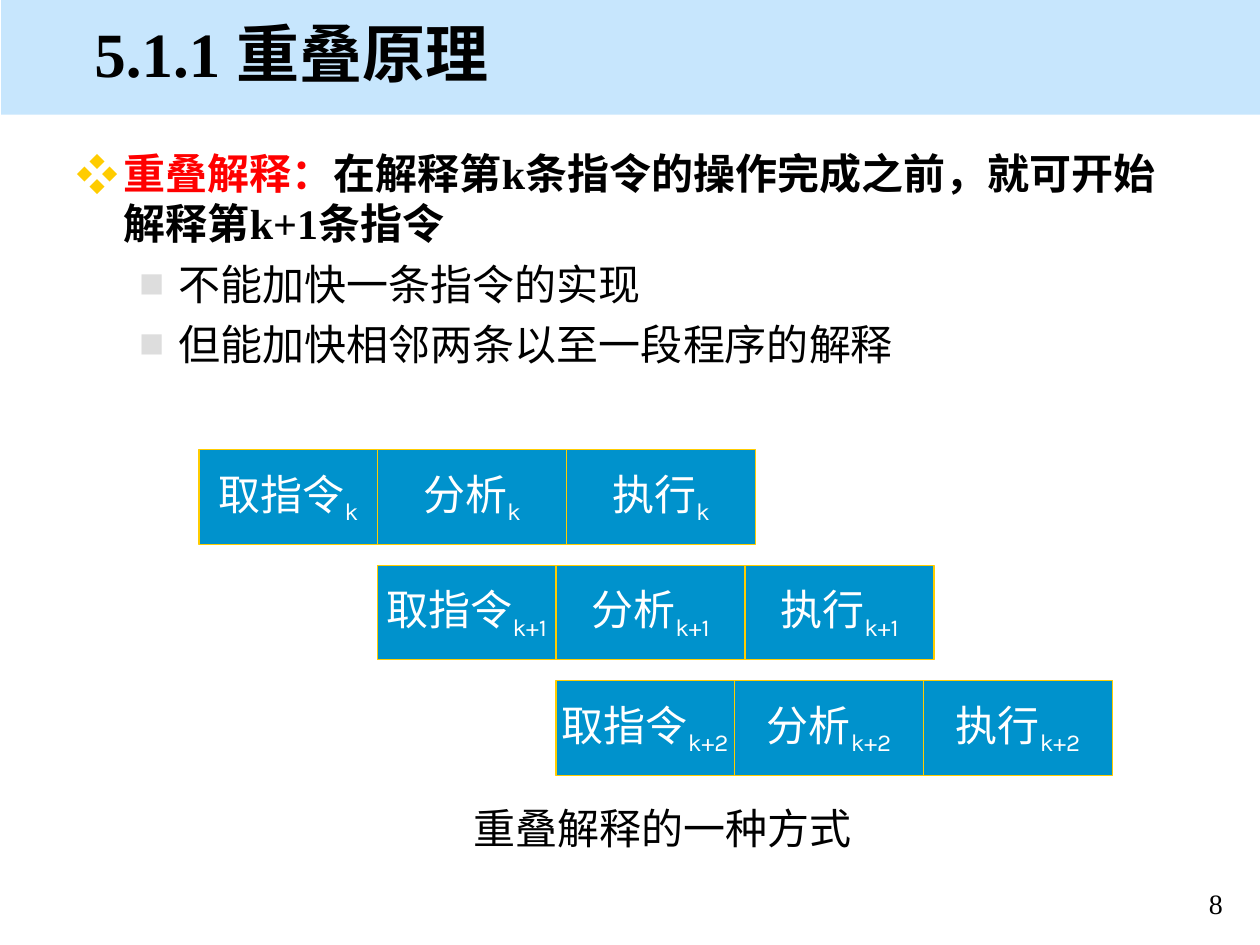
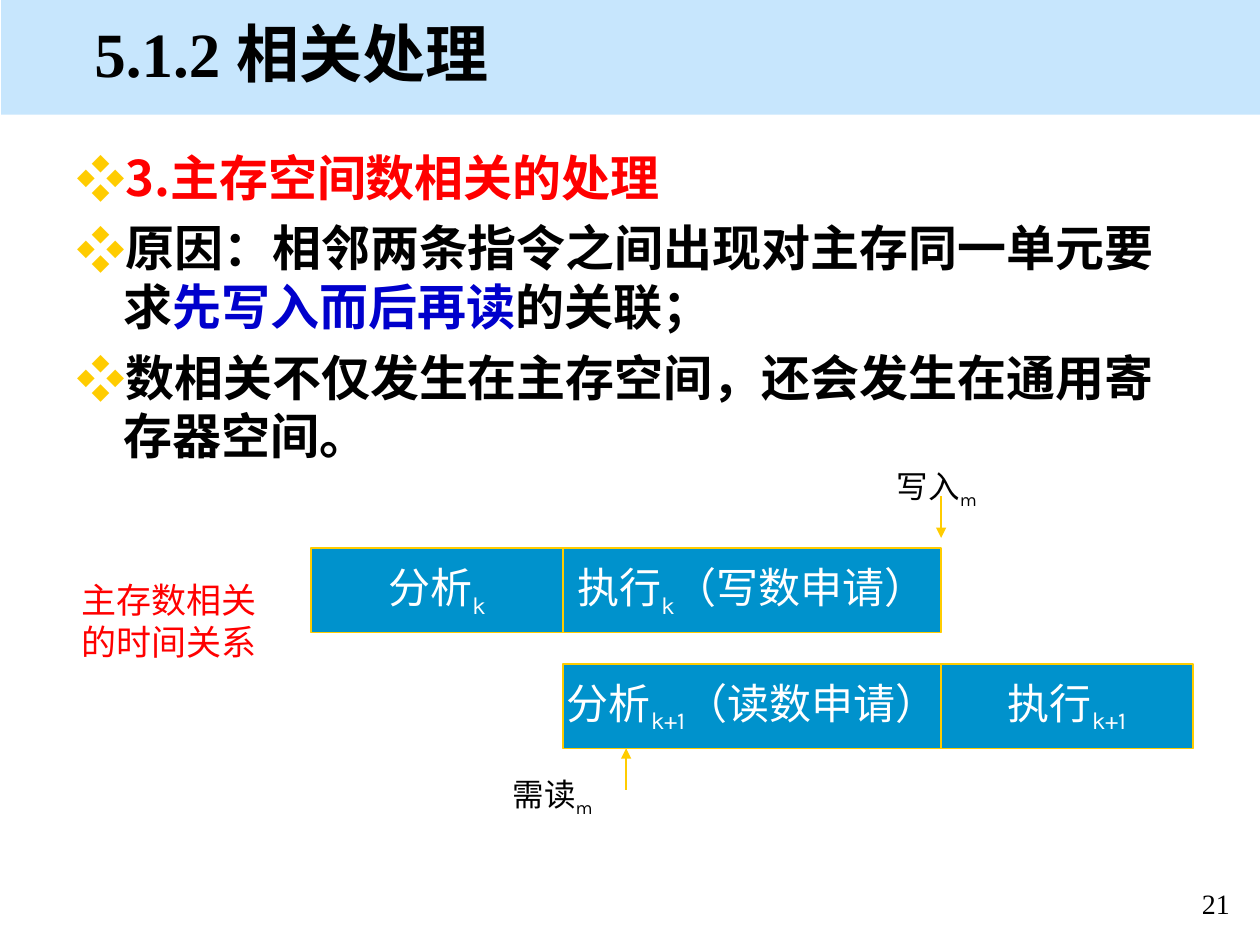
from pptx import Presentation
from pptx.dml.color import RGBColor as Rgb
from pptx.enum.shapes import MSO_CONNECTOR as Link, MSO_SHAPE as Kind
from pptx.enum.text import MSO_ANCHOR as Anchor, PP_ALIGN as Align
from pptx.oxml.ns import qn
from pptx.util import Pt
from lxml.etree import SubElement as Sub

BLACK = Rgb(0, 0, 0)
WHITE = Rgb(255, 255, 255)
RED = Rgb(255, 0, 0)
NAVY = Rgb(0, 0, 0xCC)
SKY = Rgb(0xC7, 0xE6, 0xFD)
BLUE = Rgb(0, 0x92, 0xCC)
GOLD = Rgb(0xFF, 0xCC, 0)
GREY = Rgb(0xDD, 0xDD, 0xDD)
TIMES = "Times New Roman"
NOTO = "Noto Sans CJK SC"
KARLA = "Karla"

MAIN = dict(mark="❖", tint=GOLD, scale=100, left=27, hang=27)
MINOR = dict(mark="■", tint=GREY, scale=60, left=58.5, hang=22.5)


def add_run(para, text, size, face=KARLA, color=BLACK, bold=False, sub=False):
    run = para.add_run()
    run.text = text
    font = run.font
    font.size, font.name, font.bold = Pt(size), face, bold
    font.color.rgb = color
    if sub:
        run._r.get_or_add_rPr().set("baseline", "-25000")


def add_text(slide, box, anchor=Anchor.TOP):
    frame = slide.shapes.add_textbox(*map(Pt, box)).text_frame
    frame.word_wrap = True
    frame.vertical_anchor = anchor
    return frame


def add_rect(slide, box, fill, line=None):
    shape = slide.shapes.add_shape(Kind.RECTANGLE, *map(Pt, box))
    shape.shadow.inherit = False
    shape.fill.solid()
    shape.fill.fore_color.rgb = fill
    if line is None:
        shape.line.fill.background()
    else:
        shape.line.color.rgb = line
        shape.line.width = Pt(0.75)
    return shape


def add_bullet(para, mark, tint, scale, left, hang):
    props = para._p.get_or_add_pPr()
    props.set("marL", str(Pt(left)))
    props.set("indent", str(-Pt(hang)))
    Sub(Sub(props, qn("a:buClr")), qn("a:srgbClr"), val=str(tint))
    Sub(props, qn("a:buSzPct"), val=str(scale * 1000))
    Sub(props, qn("a:buFont"), typeface=NOTO)
    Sub(props, qn("a:buChar"), char=mark)


def add_page(deck, title, number):
    slide = deck.slides.add_slide(deck.slide_layouts[6])
    add_rect(slide, (0.72, 0, 719.28, 65.5), SKY)
    foot = add_text(slide, (669.6, 503.3, 50.4, 23.8)).paragraphs[0]
    foot.alignment = Align.CENTER
    add_run(foot, number, 16, TIMES)
    head = add_text(slide, (46.8, 5.8, 617.8, 48.2), Anchor.MIDDLE)
    add_run(head.paragraphs[0], title, 36, TIMES, bold=True)
    return slide


def add_body(slide, box, size, items):
    frame = add_text(slide, box)
    for i, (style, runs) in enumerate(items):
        para = frame.paragraphs[0] if i == 0 else frame.add_paragraph()
        if i:
            para.space_before = Pt(round(size * 0.24, 1))
        add_bullet(para, **style)
        for text, face, color in runs:
            add_run(para, text, size, face, color, bold=style is MAIN)


def add_bar(slide, x, y, high, index, cells):
    for wide, step, note in cells:
        shape = add_rect(slide, (x, y, wide, high), BLUE, GOLD)
        frame = shape.text_frame
        frame.word_wrap = False
        frame.vertical_anchor = Anchor.MIDDLE
        para = frame.paragraphs[0]
        para.alignment = Align.CENTER
        add_run(para, step, 24, color=WHITE)
        add_run(para, index, 24, color=WHITE, sub=True)
        if note:
            add_run(para, note, 24, color=WHITE)
        x += wide


def add_arrow(slide, x, start, end):
    line = slide.shapes.add_connector(Link.STRAIGHT, Pt(x), Pt(start), Pt(x), Pt(end))
    line.line.color.rgb = GOLD
    line.line.width = Pt(0.75)
    Sub(line.line._get_or_add_ln(), qn("a:tailEnd"), type="triangle")
    Sub(line._element.spPr, qn("a:effectLst"))


def add_label(slide, box, text, size, color=BLACK, index=None):
    para = add_text(slide, box).paragraphs[0]
    add_run(para, text, size, color=color)
    if index:
        add_run(para, index, size, color=color, sub=True)


def add_stairs(slide, x, y):
    cells = [(102, "取指令", ""), (108, "分析", ""), (108, "执行", "")]
    for i, index in enumerate(("k", "k+1", "k+2")):
        add_bar(slide, x + 102 * i, y + 66 * i, 54, index, cells)
    add_label(slide, (x + 149.8, y + 198, 264.2, 36), "重叠解释的一种方式", 24)


def add_timing(slide, x, y):
    short, long, high, drop = 144, 216, 48.2, 66.2
    mid, end = x + short, x + short + long
    add_bar(slide, x, y, high, "k", [(short, "分析", ""), (long, "执行", "（写数申请）")])
    add_bar(slide, mid, y + drop, high, "k+1",
            [(long, "分析", "（读数申请）"), (short, "执行", "")])
    add_arrow(slide, end, y - 29.5, y - 5.8)
    add_label(slide, (end - 32.4, y - 49.7, 90, 28.8), "写入", 18, index="m")
    foot = y + drop + high
    add_arrow(slide, mid + 36, foot + 23.8, foot)
    add_label(slide, (mid - 36, foot + 11.6, 90, 28.8), "需读", 18, index="m")
    add_label(slide, (x - 138.2, y + 13.7, 116.6, 55.4), "主存数相关的时间关系", 20, RED)


def main():
    deck = Presentation()
    deck.slide_width, deck.slide_height = Pt(720), Pt(540)

    slide = add_page(deck, "5.1.1 重叠原理", "8")
    add_body(slide, (36.7, 80.6, 648, 139.7), 24, [
        (MAIN, [("重叠解释：", TIMES, RED),
                ("在解释第k条指令的操作完成之前，就可开始解释第k+1条指令", TIMES, BLACK)]),
        (MINOR, [("不能加快一条指令的实现", TIMES, BLACK)]),
        (MINOR, [("但能加快相邻两条以至一段程序的解释", TIMES, BLACK)]),
    ])
    add_stairs(slide, 113.8, 257)

    slide = add_page(deck, "5.1.2 相关处理", "21")
    add_body(slide, (36.7, 80.6, 648, 189.4), 28, [
        (MAIN, [("3.主存空间数相关的处理", NOTO, RED)]),
        (MAIN, [("原因：相邻两条指令之间出现对主存同一单元要求", TIMES, BLACK),
                ("先写入而后再读", TIMES, NAVY),
                ("的关联；", TIMES, BLACK)]),
        (MAIN, [("数相关不仅发生在主存空间，还会发生在通用寄存器空间", NOTO, BLACK),
                ("。", TIMES, BLACK)]),
    ])
    add_timing(slide, 177.8, 313.2)

    deck.save("out.pptx")


if __name__ == "__main__":
    main()
